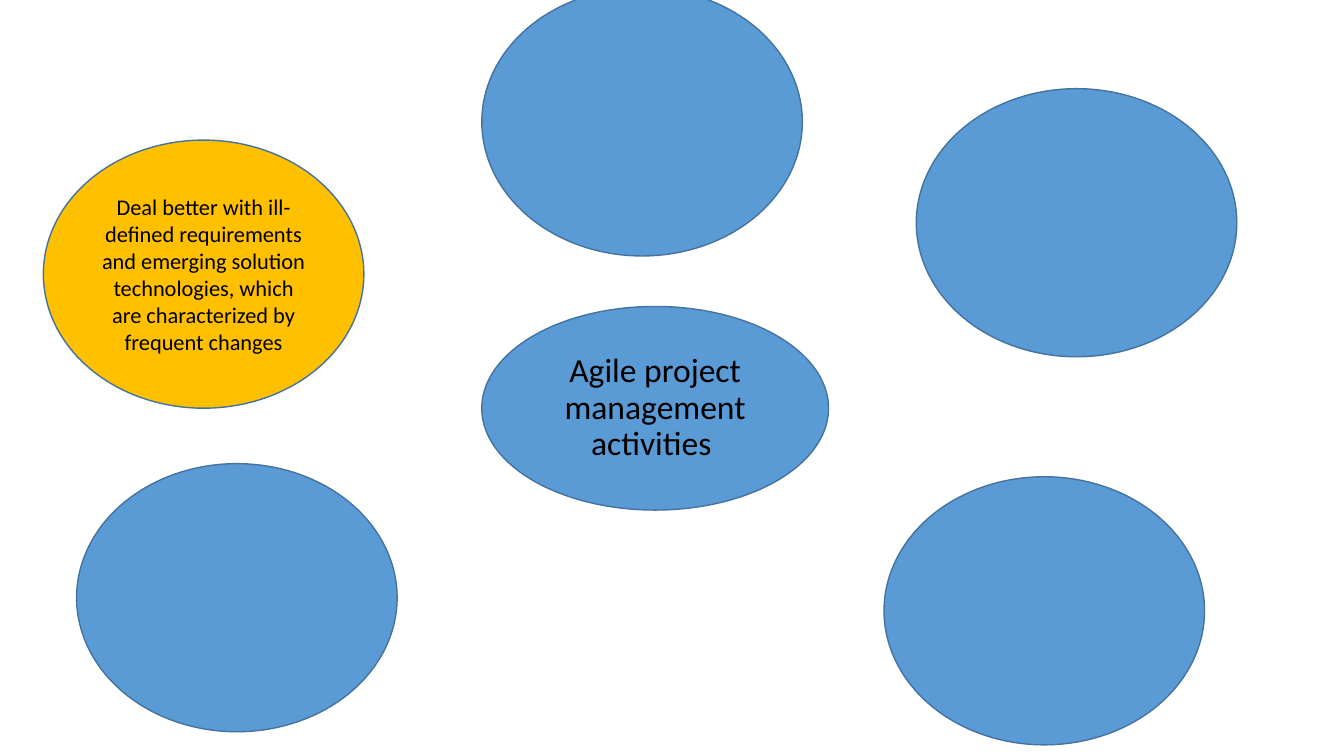
from pptx import Presentation
from pptx.dml.color import RGBColor as RGB
from pptx.enum.shapes import MSO_SHAPE as Form
from pptx.enum.text import MSO_ANCHOR as Anchor, PP_ALIGN as Align
from pptx.util import Pt

COLORS = {"blue": "5B9BD5", "gold": "FFC000", "edge": "43739E", "ink": "000000"}


class Sheet:
    """Holds the style and the current slide."""

    font = "Calibri"

    def __init__(self, deck):
        self.slide = deck.slides.add_slide(deck.slide_layouts[6])

    def color(self, name):
        return RGB.from_string(COLORS[name])

    def format(self, item, values):
        for key, value in values.items():
            setattr(item, key, value)

    def oval(self, left, top, width, height, fill="blue"):
        oval = self.slide.shapes.add_shape(
            Form.OVAL, Pt(left), Pt(top), Pt(width), Pt(height))
        oval.shadow.inherit = False
        oval.fill.solid()
        oval.fill.fore_color.rgb = self.color(fill)
        oval.line.color.rgb = self.color("edge")
        oval.line.width = Pt(1)
        return oval

    def label(self, oval, text, size, **layout):
        frame = oval.text_frame
        self.format(frame, {"word_wrap": True, "vertical_anchor": Anchor.MIDDLE})
        para = frame.paragraphs[0]
        self.format(para, {"alignment": Align.CENTER, **layout})
        run = para.add_run()
        run.text = text
        self.format(run.font, {"name": self.font, "size": Pt(size)})
        run.font.color.rgb = self.color("ink")


def main():
    deck = Presentation()
    deck.slide_width, deck.slide_height = Pt(960), Pt(540)
    sheet = Sheet(deck)

    # Central topic
    topic = sheet.oval(344.16, 218.88, 247.68, 145.44)
    sheet.label(topic, "Agile project management activities ", 24,
                line_spacing=0.9, space_before=Pt(10))

    # Surrounding ovals, all of one size
    size = (228.96, 191.52)
    answer = sheet.oval(30.96, 100.08, *size, fill="gold")
    sheet.label(answer, "Deal better with ill-defined requirements and emerging "
                "solution technologies, which are characterized by frequent "
                "changes", 16)
    for left, top in [(54.72, 331.2), (654.48, 63.36),
                      (344.16, -8.64), (631.44, 340.56)]:
        sheet.oval(left, top, *size)

    deck.save("out.pptx")


if __name__ == "__main__":
    main()
